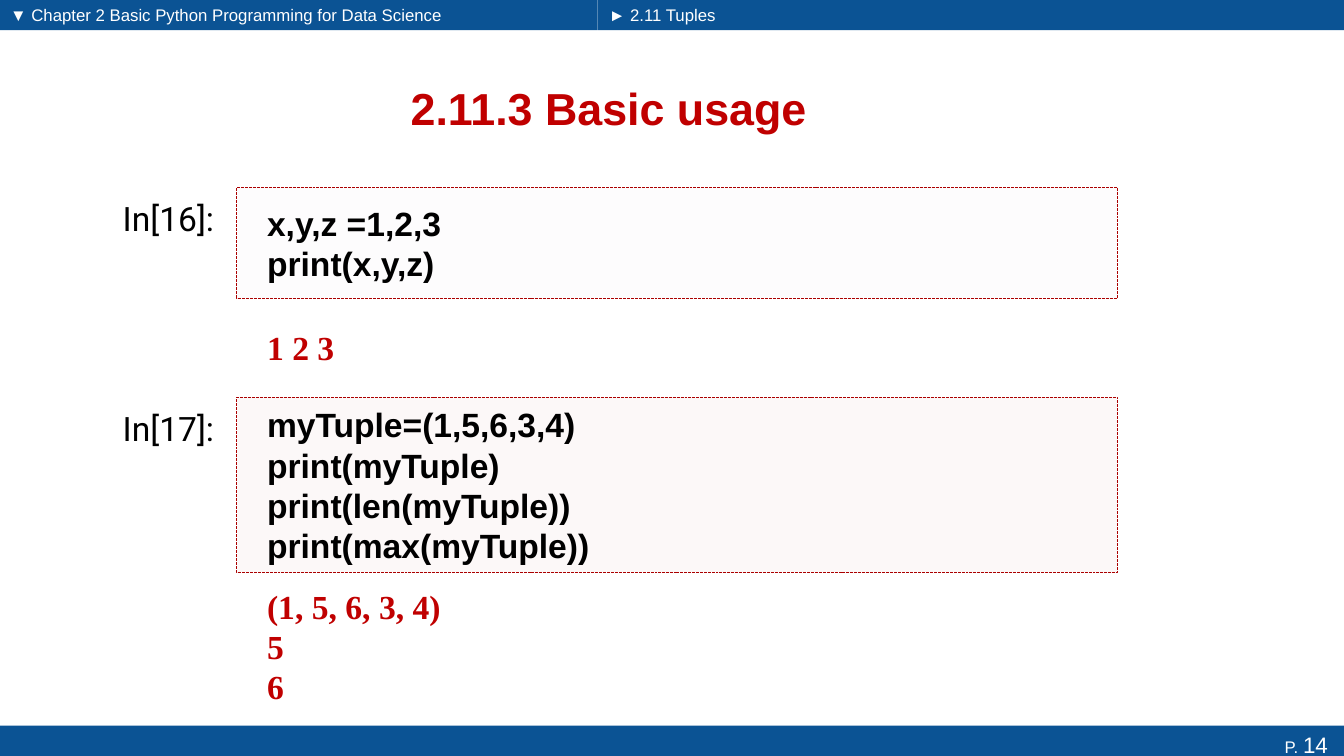
from pptx import Presentation
from pptx import util as u
from pptx.dml.color import RGBColor
from pptx.enum import dml, shapes, text
from pptx.oxml.ns import qn
from lxml import etree

BLUE, RED, WHITE, BLACK = "0B5394", "C00000", "FFFFFF", "000000"
TITLE = {"name": "Arial", "size": u.Pt(32), "bold": True}
CODE = {"name": "Arial", "size": u.Pt(24), "bold": True}
OUTPUT = {"name": "Times New Roman", "size": u.Pt(24), "bold": True}
PROMPT = {"name": "Roboto", "size": u.Pt(24), "bold": False}
HEADER = {"name": "Arial", "size": u.Pt(12), "bold": False}
PAGE = {**HEADER, "size": u.Pt(16)}
CELL_FRAME = {"margin_left": u.Pt(21.6), "word_wrap": True,
              "vertical_anchor": text.MSO_ANCHOR.MIDDLE}
CELL_LEFT, CELL_WIDTH = 169.2, 629.3


def rgb(value):
    return RGBColor.from_string(value)


def points(*lengths):
    return [u.Pt(length) for length in lengths]


def apply(target, values):
    for key, value in values.items():
        setattr(target, key, value)


def style(font, values, color):
    apply(font, values)
    font.color.rgb = rgb(color)


def write(frame, lines, font, color, spacing=None):
    for index, line in enumerate(lines):
        paragraph = frame.paragraphs[0] if index == 0 else frame.add_paragraph()
        paragraph.alignment = text.PP_ALIGN.LEFT
        paragraph.line_spacing = spacing
        run = paragraph.add_run()
        run.text = line
        style(run.font, font, color)


def add_rect(parent, box, fill):
    rect = parent.add_shape(shapes.MSO_SHAPE.RECTANGLE, *points(*box))
    rect.shadow.inherit = False
    rect.fill.solid()
    rect.fill.fore_color.rgb = rgb(fill)
    rect.line.fill.background()
    return rect


def add_code(parent, top, height, lines, fill):
    code = add_rect(parent, (CELL_LEFT, top, CELL_WIDTH, height), fill)
    tint = code.element.spPr.find(qn("a:solidFill"))[0]
    etree.SubElement(tint, qn("a:alpha")).set("val", "13000")
    code.line.color.rgb = rgb("AB0000")
    apply(code.line, {"width": u.Pt(0.7), "dash_style": dml.MSO_LINE.SQUARE_DOT})
    apply(code.text_frame, CELL_FRAME)
    write(code.text_frame, lines, CODE, BLACK, u.Pt(28.8))


def add_output(parent, top, height, lines):
    output = parent.add_textbox(*points(CELL_LEFT, top, CELL_WIDTH, height))
    apply(output.text_frame, CELL_FRAME)
    write(output.text_frame, lines, OUTPUT, RED, u.Pt(28.8))


def add_prompt(parent, top, label):
    prompt = parent.add_textbox(*points(80.6, top, 80, 36))
    write(prompt.text_frame, [label], PROMPT, BLACK)


def add_cell(slide, label, code, code_box, fill, output, output_box):
    cell = slide.shapes.add_group_shape().shapes
    add_prompt(cell, code_box[0] + 4.3, label)
    add_code(cell, *code_box, code, fill)
    add_output(cell, *output_box, output)


def fill_placeholder(placeholder, box, line, font, color, anchor):
    tree = placeholder.element.getparent()
    tree.append(placeholder.element)
    apply(placeholder, dict(zip(("left", "top", "width", "height"), points(*box))))
    apply(placeholder.text_frame, {"vertical_anchor": anchor, "word_wrap": True,
                                   "auto_size": text.MSO_AUTO_SIZE.NONE})
    write(placeholder.text_frame, [line], font, color)
    return placeholder.text_frame.paragraphs[0]


def add_breadcrumb(placeholder, left, width, line):
    paragraph = fill_placeholder(placeholder, (left, 0, width, 20.9), line,
                                 HEADER, WHITE, text.MSO_ANCHOR.TOP)
    paragraph.space_before = u.Pt(0)
    properties = paragraph._p.get_or_add_pPr()
    apply_indent = {"marL": u.Pt(27), "indent": -u.Pt(27)}
    for key, value in apply_indent.items():
        properties.set(key, str(int(value)))
    etree.SubElement(properties, qn("a:buNone"))


def add_footer(slide):
    footer = add_rect(slide.shapes, (0, 518.4, 960, 26.6), BLUE)
    footer.text_frame.vertical_anchor = text.MSO_ANCHOR.TOP
    write(footer.text_frame, ["P. "], HEADER, WHITE)
    paragraph = footer.text_frame.paragraphs[0]
    paragraph.alignment = text.PP_ALIGN.RIGHT
    number = paragraph.add_run()
    number.text = "14 "
    style(number.font, PAGE, WHITE)


def main():
    deck = Presentation()
    apply(deck, {"slide_width": u.Pt(960), "slide_height": u.Pt(540)})
    slide = deck.slides.add_slide(deck.slide_layouts[3])
    title, chapter, section = slide.placeholders

    add_rect(slide.shapes, (0, 0, 427, 21.6), BLUE)
    add_footer(slide)
    add_rect(slide.shapes, (427, 0, 533, 21.6), BLUE)
    add_breadcrumb(chapter, 0, 348, "▼ Chapter 2 Basic Python Programming for Data Science")
    add_breadcrumb(section, 427.7, 171.4, "► 2.11 Tuples")

    add_cell(slide, "In[16]:", ["x,y,z =1,2,3", "print(x,y,z)"],
             (133.9, 79.2), "F1EEF4", ["1 2 3"], (224.6, 46.8))
    add_cell(slide, "In[17]:",
             ["myTuple=(1,5,6,3,4)", "print(myTuple)",
              "print(len(myTuple))", "print(max(myTuple))"],
             (283.7, 125.3), "EDCDCB", ["(1, 5, 6, 3, 4)", "5", "6"], (403.9, 115.2))

    heading = fill_placeholder(title, (49, 44.6, 771.8, 64.8), "2.11.3 Basic usage",
                               TITLE, RED, text.MSO_ANCHOR.MIDDLE)
    heading.alignment = text.PP_ALIGN.CENTER
    deck.save("out.pptx")


if __name__ == "__main__":
    main()
